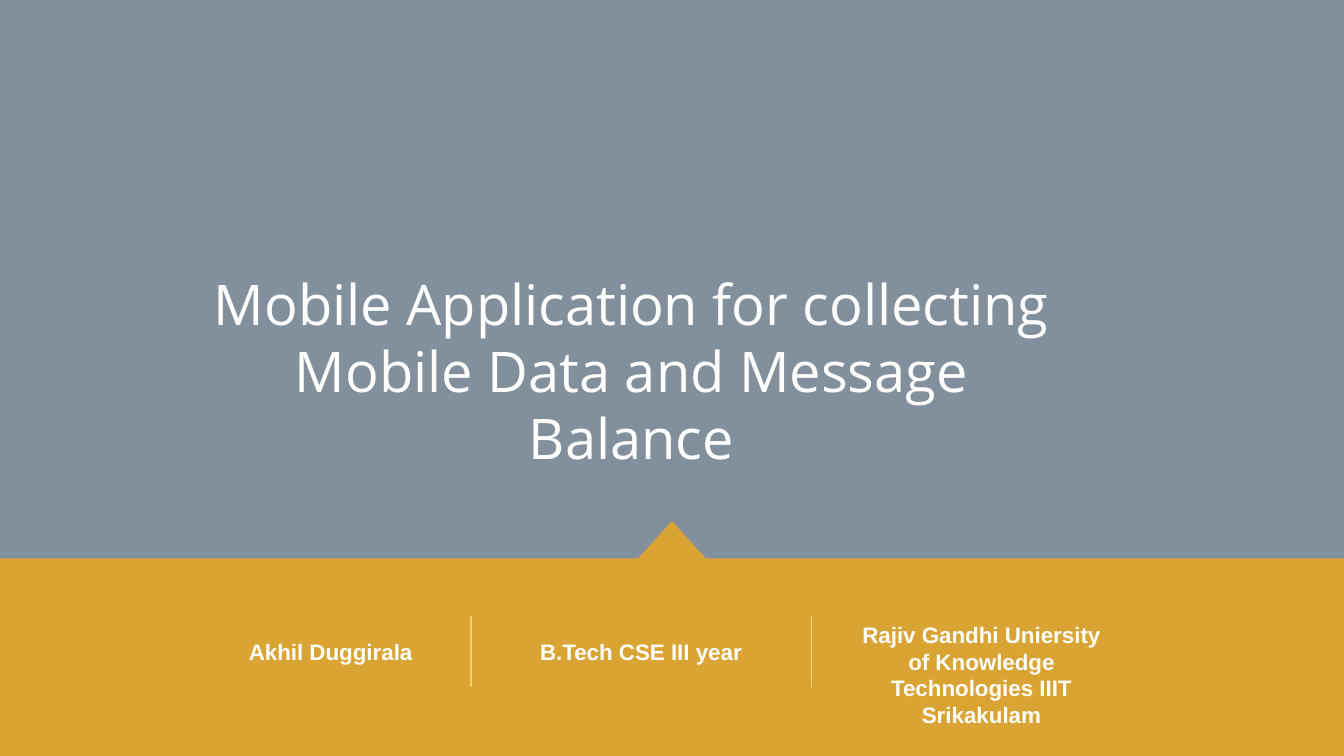
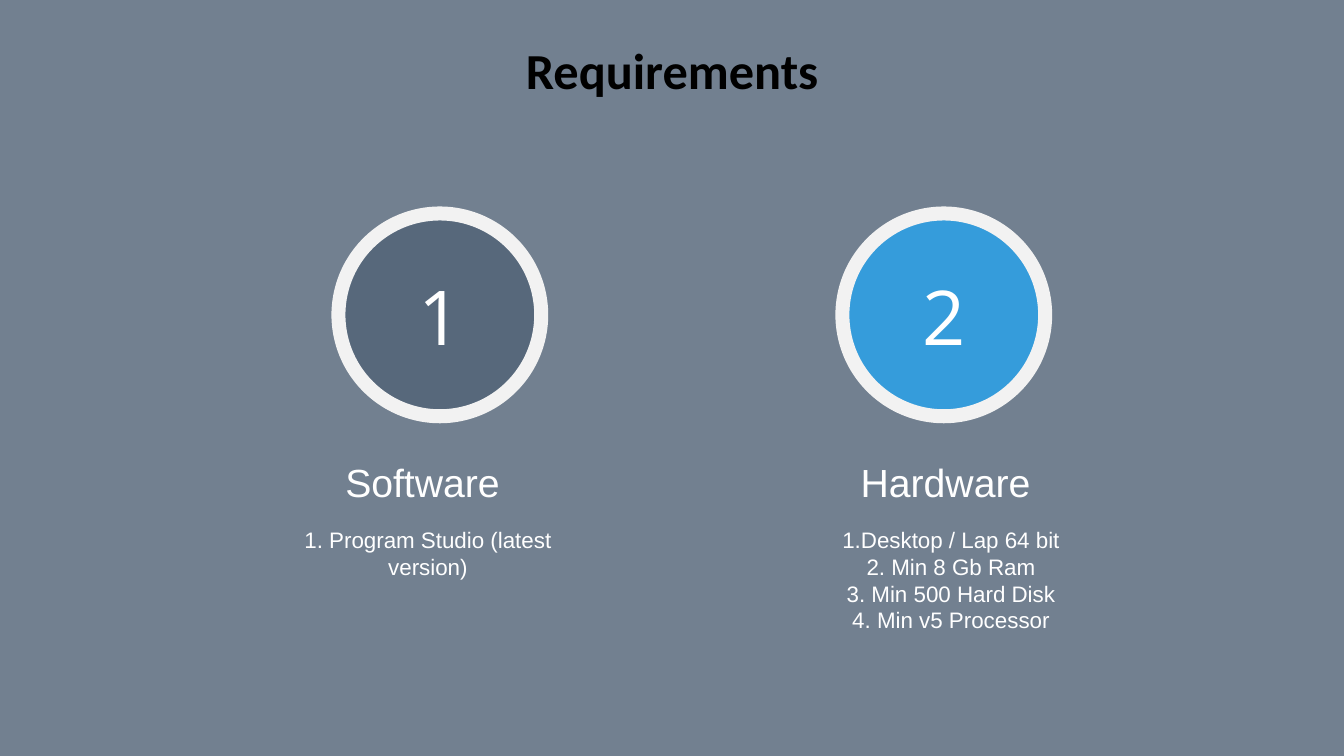
from dataclasses import dataclass

from lxml import etree
from pptx import Presentation
from pptx import util as u
from pptx.dml.color import RGBColor
from pptx.enum import shapes, text
from pptx.oxml.ns import qn

SLATE, GOLD, DIVIDER, BLUE = "57687B", "F4AB17", "F8CD74", "359CDB"
WHITE, RING, BLACK = "FFFFFF", "F2F2F2", "000000"
WIDTH, HEIGHT = 33.87, 19.05
TITLE_ONLY = 5

COVER_TITLE = {"name": "Open Sans", "size": u.Pt(40), "bold": False}
TITLE = {"name": "Calibri", "size": u.Pt(36), "bold": True}
CREDIT = {"name": "Arial", "size": u.Pt(16), "bold": True}
NUMBER = {"name": "Open Sans", "size": u.Pt(54)}
HEADING = {"name": "Arial", "size": u.Pt(28)}
BODY = {"name": "Arial", "size": u.Pt(16)}


@dataclass
class Box:
    left: float
    top: float
    width: float
    height: float

    def lengths(self) -> tuple:
        return tuple(u.Cm(v) for v in (self.left, self.top, self.width, self.height))


@dataclass
class Credit:
    wording: str
    box: Box


@dataclass
class Requirement:
    heading: str
    items: list
    colour: str
    circle_left: float
    text_left: float
    list_height: float


CREDITS = [
    Credit("Akhil Duggirala", Box(5.59, 15.95, 5.49, 0.94)),
    Credit("B.Tech CSE III year", Box(12.65, 15.95, 7.01, 0.94)),
    Credit("Rajiv Gandhi Uniersity of Knowledge Technologies IIIT Srikakulam",
           Box(21.23, 15.52, 7.01, 3)),
]
REQUIREMENTS = [
    Requirement("Software ", ["1. Program Studio (latest version)"],
                SLATE, 8.53, 6.99, 1.63),
    Requirement("Hardware ",
                ["1.Desktop / Lap 64 bit", "2. Min 8 Gb Ram",
                 "3. Min 500 Hard Disk", "4. Min v5 Processor"],
                BLUE, 21.23, 20.17, 3),
]


def rgb(colour: str) -> RGBColor:
    return RGBColor.from_string(colour)


def paint(shape, colour: str, opacity: int = 100) -> None:
    """Give a flat fill with no line or shadow; opacity is in percent."""
    shape.shadow.inherit = False
    shape.fill.solid()
    shape.fill.fore_color.rgb = rgb(colour)
    shape.line.fill.background()
    if opacity < 100:
        tint = shape._element.spPr.find(".//" + qn("a:srgbClr"))
        etree.SubElement(tint, qn("a:alpha"), val=str(opacity * 1000))


def write(frame, lines: list, style: dict, colour: str = WHITE) -> None:
    for index, line in enumerate(lines):
        paragraph = frame.paragraphs[0] if index == 0 else frame.add_paragraph()
        paragraph.alignment = text.PP_ALIGN.CENTER
        run = paragraph.add_run()
        run.text = line
        for attribute, value in style.items():
            setattr(run.font, attribute, value)
        run.font.color.rgb = rgb(colour)


def add_text(slide, box: Box, lines: list, style: dict,
             anchor=text.MSO_ANCHOR.TOP) -> None:
    frame = slide.shapes.add_textbox(*box.lengths()).text_frame
    frame.word_wrap = True
    frame.auto_size = text.MSO_AUTO_SIZE.SHAPE_TO_FIT_TEXT
    frame.vertical_anchor = anchor
    write(frame, lines, style)


def add_slide(deck, opacity: int):
    """Start a title-only slide with a translucent slate backdrop."""
    slide = deck.slides.add_slide(deck.slide_layouts[TITLE_ONLY])
    backdrop = slide.shapes.add_shape(shapes.MSO_SHAPE.RECTANGLE,
                                      *Box(0, 0, WIDTH, HEIGHT).lengths())
    paint(backdrop, SLATE, opacity)
    return slide


def set_title(slide, wording: str, box: Box, style: dict, colour: str,
              anchor, inset: tuple) -> None:
    """Format the title and bring it in front of the shapes drawn so far."""
    title = slide.shapes.title
    title.left, title.top, title.width, title.height = box.lengths()
    frame = title.text_frame
    side, edge = (u.Cm(v) for v in inset)
    layout = {"margin_left": side, "margin_right": side, "margin_top": edge,
              "margin_bottom": edge, "word_wrap": True, "vertical_anchor": anchor,
              "auto_size": text.MSO_AUTO_SIZE.NONE}
    for attribute, value in layout.items():
        setattr(frame, attribute, value)
    write(frame, [wording], style, colour)
    slide.shapes._spTree.append(title._element)


def add_band(slide) -> None:
    """Draw the gold footer band with its centred pointer."""
    middle, peak, edge, half = WIDTH / 2, 13.13, 14.07, 0.85
    outline = [(middle + half, edge), (WIDTH, edge), (WIDTH, HEIGHT),
               (0, HEIGHT), (0, edge), (middle - half, edge)]
    builder = slide.shapes.build_freeform(u.Cm(middle), u.Cm(peak))
    builder.add_line_segments([(u.Cm(x), u.Cm(y)) for x, y in outline])
    paint(builder.convert_to_shape(), GOLD, 78)


def add_divider(slide, x: float) -> None:
    divider = slide.shapes.add_connector(
        shapes.MSO_CONNECTOR.STRAIGHT, u.Cm(x), u.Cm(15.52), u.Cm(x), u.Cm(17.32))
    divider.line.color.rgb = rgb(DIVIDER)
    divider.line.width = u.Pt(0.75)
    etree.SubElement(divider._element.spPr, qn("a:effectLst"))


def add_requirement(slide, number: int, item: Requirement) -> None:
    circle = slide.shapes.add_shape(shapes.MSO_SHAPE.OVAL,
                                    *Box(item.circle_left, 5.38, 5.11, 5.11).lengths())
    paint(circle, item.colour)
    circle.line.color.rgb = rgb(RING)
    circle.line.width = u.Pt(10)
    circle.text_frame.vertical_anchor = text.MSO_ANCHOR.MIDDLE
    write(circle.text_frame, [str(number)], NUMBER)
    add_text(slide, Box(item.text_left, 13.13, 7.59, item.list_height), item.items, BODY)
    add_text(slide, Box(item.text_left, 11.4, 7.59, 1.45), [item.heading], HEADING,
             text.MSO_ANCHOR.BOTTOM)


def build_cover(deck) -> None:
    slide = add_slide(deck, 74)
    add_band(slide)
    set_title(slide, "Mobile Application for collecting Mobile Data and Message Balance",
              Box(5.13, 6.65, 21.56, 5.38), COVER_TITLE, WHITE,
              text.MSO_ANCHOR.TOP, (0.25, 0.13))
    for index, credit in enumerate(CREDITS):
        if index:
            add_divider(slide, credit.box.left - 0.78)
        add_text(slide, credit.box, [credit.wording], CREDIT)


def build_requirements(deck) -> None:
    slide = add_slide(deck, 84)
    set_title(slide, "Requirements", Box(1.7, 0.76, 30.48, 1.98), TITLE, BLACK,
              text.MSO_ANCHOR.MIDDLE, (0.33, 0.18))
    for number, item in enumerate(REQUIREMENTS, 1):
        add_requirement(slide, number, item)


def main() -> None:
    deck = Presentation()
    deck.slide_width, deck.slide_height = u.Cm(WIDTH), u.Cm(HEIGHT)
    build_cover(deck)
    build_requirements(deck)
    deck.save("out.pptx")


if __name__ == "__main__":
    main()
